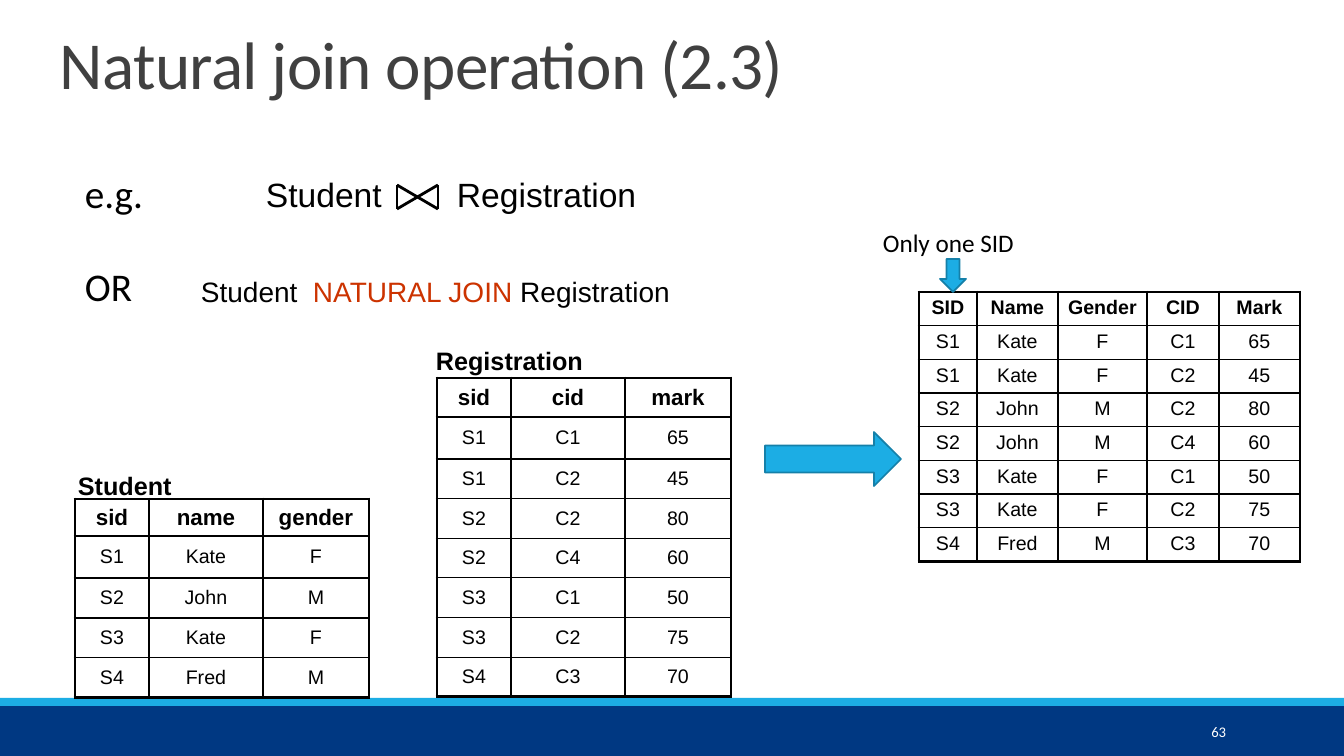
from lxml import etree
from pptx import Presentation
from pptx import util as u
from pptx.dml.color import RGBColor
from pptx.enum import shapes, text
from pptx.oxml.ns import qn

EMU_PER_PX = 914400 / 100.8
BLACK = RGBColor(0x00, 0x00, 0x00)
GREY = RGBColor(0x40, 0x40, 0x40)
WHITE = RGBColor(0xFF, 0xFF, 0xFF)
RED = RGBColor(0xCC, 0x33, 0x00)
NAVY = RGBColor(0x00, 0x38, 0x82)
SKY = RGBColor(0x1C, 0xAD, 0xE4)
TEAL = RGBColor(0x15, 0x80, 0xA9)
THIN, THICK = u.Pt(1), u.Pt(2.25)
CELL_MARGIN = 4

# Content: each text is (box, paragraphs of (text, colour) runs, size, font, bold)
TITLE = ((50, 30, 1018, 126), [[("Natural join operation (2.3)", GREY)]], 48, "Calibri", False)
LABELS = ((75, 164, 672, 201), [[("e.g.", BLACK)], [("OR", BLACK)]], 28, "Calibri", False)
SYMBOL_FORM = ((256, 169, 428, 50), [[("Student\tRegistration", BLACK)]], 24, "Arial", False)
KEYWORD_FORM = ((191, 270, 508, 44),
                [[("Student\t", BLACK), ("NATURAL JOIN ", RED), ("Registration", BLACK)]],
                20, "Arial", False)
STUDENT_NAME = ((68, 465, 115, 40), [[("Student", BLACK)]], 18, "Arial", True)
REGISTRATION_NAME = ((426, 340, 168, 40), [[("Registration", BLACK)]], 18, "Arial", True)
SID_REMARK = ((873, 222, 190, 40), [[("Only one SID", BLACK)]], 18, "Calibri", False)
PAGE_NUMBER = ((1092, 712, 144, 40), [[("63", WHITE)]], 10.5, "Calibri", False)

STUDENT = [
    ("sid", "name", "gender"),
    ("S1", "Kate", "F"),
    ("S2", "John", "M"),
    ("S3", "Kate", "F"),
    ("S4", "Fred", "M"),
]
REGISTRATION = [
    ("sid", "cid", "mark"),
    ("S1", "C1", "65"),
    ("S1", "C2", "45"),
    ("S2", "C2", "80"),
    ("S2", "C4", "60"),
    ("S3", "C1", "50"),
    ("S3", "C2", "75"),
    ("S4", "C3", "70"),
]
people = {sid: (name, gender) for sid, name, gender in STUDENT[1:]}
JOINED = [("SID", "Name", "Gender", "CID", "Mark")]
JOINED += [(sid, *people[sid], cid, mark) for sid, cid, mark in REGISTRATION[1:]]

# (rows, left, top, height, column widths, leading row heights, header size, anchor)
SOURCE_COLUMNS = (74, 114, 106)
TABLES = [
    (STUDENT, 75, 499, 198, SOURCE_COLUMNS, (36, 42), 16, text.MSO_ANCHOR.MIDDLE),
    (REGISTRATION, 437, 378, 319, SOURCE_COLUMNS, (39, 42), 16, text.MSO_ANCHOR.MIDDLE),
    (JOINED, 919, 292, 269, (58, 81, 89, 72, 81), (), 14, text.MSO_ANCHOR.TOP),
]
BANDS = [((0, 706, 1344, 50), NAVY), ((0, 698, 1344, 8), SKY)]
ARROWS = [
    ((765, 432, 136, 54), shapes.MSO_SHAPE.RIGHT_ARROW),
    ((940, 259, 26, 33), shapes.MSO_SHAPE.DOWN_ARROW),
]
BOWTIE_LEFT, BOWTIE_TOP, BOWTIE_RIGHT, BOWTIE_BOTTOM = 397, 185, 438, 209


def px(length):
    return u.Emu(round(length * EMU_PER_PX))


def add_text(box, paragraphs, size, font, bold):
    frame = slide.shapes.add_textbox(*map(px, box)).text_frame
    frame.word_wrap = True
    for index, runs in enumerate(paragraphs):
        line = frame.add_paragraph() if index else frame.paragraphs[0]
        for words, colour in runs:
            run = line.add_run()
            run.text = words
            run.font.size, run.font.name, run.font.bold = u.Pt(size), font, bold
            run.font.color.rgb = colour
    return frame


def add_tab(line, position):
    tabs = etree.SubElement(line._p.get_or_add_pPr(), qn("a:tabLst"))
    etree.SubElement(tabs, qn("a:tab"), pos=str(px(position)), algn="l")


def add_block(kind, box, fill, outline=None):
    block = slide.shapes.add_shape(kind, *map(px, box))
    block.shadow.inherit = False
    block.fill.solid()
    block.fill.fore_color.rgb = fill
    if outline is None:
        block.line.fill.background()
    else:
        block.line.color.rgb = outline
        block.line.width = u.Pt(1.25)


def set_borders(cell, widths):
    properties = cell._tc.get_or_add_tcPr()
    for index, (side, width) in enumerate(zip("LRTB", widths)):
        border = etree.Element(qn(f"a:ln{side}"), w=str(width))
        fill = etree.SubElement(border, qn("a:solidFill"))
        etree.SubElement(fill, qn("a:srgbClr"), val=str(BLACK))
        properties.insert(index, border)


def add_relation(rows, left, top, height, columns, leading, header_size, anchor):
    frame = slide.shapes.add_table(len(rows), len(columns), px(left), px(top),
                                   px(sum(columns)), px(height))
    table = frame.table
    table.first_row = table.horz_banding = False
    for column, width in zip(table.columns, columns):
        column.width = px(width)
    shared = (height - sum(leading)) / (len(rows) - len(leading))
    for index, row in enumerate(table.rows):
        row.height = px(leading[index] if index < len(leading) else shared)
    for r, values in enumerate(rows):
        for c, value in enumerate(values):
            cell = table.cell(r, c)
            cell.text_frame.text = value
            cell.fill.background()
            cell.vertical_anchor = anchor
            cell.margin_left = cell.margin_right = px(CELL_MARGIN)
            line = cell.text_frame.paragraphs[0]
            line.alignment = text.PP_ALIGN.CENTER
            font = line.runs[0].font
            font.size = u.Pt(14 if r else header_size)
            font.name, font.bold, font.color.rgb = "Arial", r == 0, BLACK
            outer = (c == 0, c == len(columns) - 1, r == 0, r == len(rows) - 1)
            set_borders(cell, [THICK if edge else THIN for edge in outer])


prs = Presentation()
prs.slide_width, prs.slide_height = px(1344), px(756)
slide = prs.slides.add_slide(prs.slide_layouts[6])

# Footer
for box, colour in BANDS:
    add_block(shapes.MSO_SHAPE.RECTANGLE, box, colour)
page_number = add_text(*PAGE_NUMBER)
page_number.vertical_anchor = text.MSO_ANCHOR.MIDDLE
page_number.paragraphs[0].alignment = text.PP_ALIGN.RIGHT

# Title
title = add_text(*TITLE).paragraphs[0]
title.line_spacing = 0.85
title.runs[0].font._element.set("spc", "-50")

# Two ways to write the join
labels = add_text(*LABELS)
labels.paragraphs[1].space_before = u.Pt(33)
add_tab(add_text(*SYMBOL_FORM).paragraphs[0], 191)
add_tab(add_text(*KEYWORD_FORM).paragraphs[0], 112)

# Join symbol
bowtie = slide.shapes.add_group_shape()
for start, end in [("LT", "LB"), ("RT", "RB"), ("LT", "RB"), ("RT", "LB")]:
    points = [(BOWTIE_LEFT if side == "L" else BOWTIE_RIGHT,
               BOWTIE_TOP if level == "T" else BOWTIE_BOTTOM) for side, level in (start, end)]
    stroke = bowtie.shapes.add_connector(shapes.MSO_CONNECTOR.STRAIGHT,
                                         *map(px, points[0] + points[1]))
    stroke.line.color.rgb = BLACK
    stroke.line.width = u.Pt(2)
    etree.SubElement(stroke._element.spPr, qn("a:effectLst"))

# Relations, their names and the arrows
for relation in TABLES:
    add_relation(*relation)
for caption in (STUDENT_NAME, REGISTRATION_NAME, SID_REMARK):
    add_text(*caption)
for box, kind in ARROWS:
    add_block(kind, box, SKY, TEAL)

prs.save("out.pptx")
